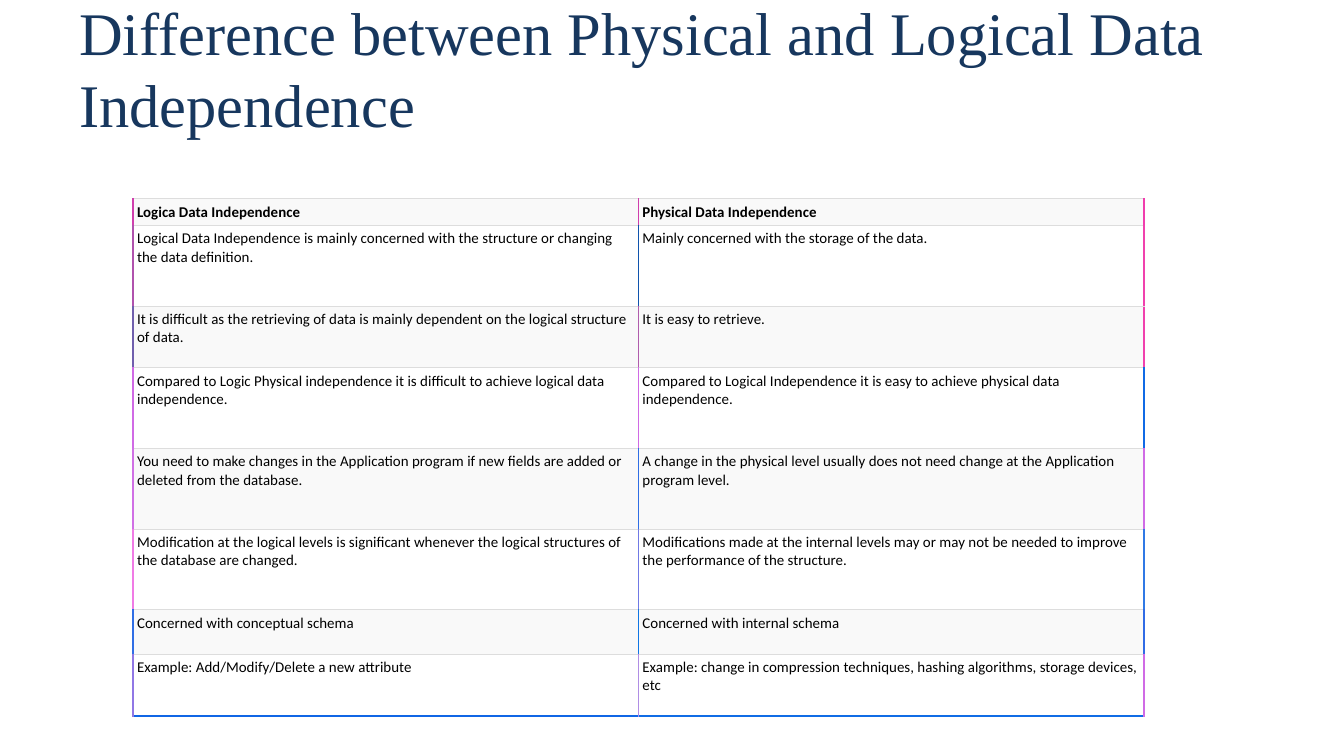
from dataclasses import dataclass

from lxml import etree
from pptx import Presentation
from pptx.dml.color import RGBColor
from pptx.enum.text import MSO_ANCHOR, MSO_AUTO_SIZE, PP_ALIGN
from pptx.oxml.ns import qn
from pptx.util import Inches, Pt

LEFT = PP_ALIGN.LEFT
TOP, MIDDLE = MSO_ANCHOR.TOP, MSO_ANCHOR.MIDDLE
NO_AUTOFIT = MSO_AUTO_SIZE.NONE


@dataclass(frozen=True)
class Theme:
    title_font: str = "Times New Roman"
    title_size: float = 32.4
    title_color: str = "17375E"
    cell_font: str = "Calibri"
    cell_size: float = 8
    cell_color: str = "000000"
    row_fills: tuple = ("F9F9F9", "FFFFFF")
    rule_color: str = "DDDDDD"
    rule_width: float = 0.6
    edge_width: float = 1


THEME = Theme()

# Height, logical text, physical text, colours of the left, middle and right edges
COMPARISON = [
    (0.19, "Logica Data Independence", "Physical Data Independence",
     ("D03FAD", "D03EAD", "F03DAD")),
    (0.6, "Logical Data Independence is mainly concerned with the structure or "
          "changing the data definition.",
     "Mainly concerned with the storage of the data.",
     ("B052AD", "1053AD", "F041AD")),
    (0.46, "It is difficult as the retrieving of data is mainly dependent on the "
           "logical structure of data.",
     "It is easy to retrieve.",
     ("705FAD", "B05CAD", "F041AD")),
    (0.6, "Compared to Logic Physical independence it is difficult to achieve "
          "logical data independence.",
     "Compared to Logical Independence it is easy to achieve physical data "
     "independence.",
     ("D06AE5", "D06AE5", "106AE5")),
    (0.6, "You need to make changes in the Application program if new fields are "
          "added or deleted from the database.",
     "A change in the physical level usually does not need change at the "
     "Application program level.",
     ("D070E5", "306EE5", "D06BE5")),
    (0.6, "Modification at the logical levels is significant whenever the logical "
          "structures of the database are changed.",
     "Modifications made at the internal levels may or may not be needed to "
     "improve the performance of the structure.",
     ("F07BE5", "707AE5", "3079E5")),
    (0.33, "Concerned with conceptual schema", "Concerned with internal schema",
     ("306EE5", "1076E5", "306BE5")),
    (0.46, "Example: Add/Modify/Delete a new attribute",
     "Example: change in compression techniques, hashing algorithms, storage "
     "devices, etc",
     ("9077E5", "B08EE5", "D06BE5")),
]
CLOSING_RULES = ("1066E5", "106CE5")


def add_border(cell, side, color, width):
    """Add one cell border; call in the order L, R, T, B and before the fill."""
    line = etree.SubElement(cell._tc.get_or_add_tcPr(), qn(f"a:ln{side}"),
                            w=str(Pt(width)))
    fill = etree.SubElement(line, qn("a:solidFill"))
    etree.SubElement(fill, qn("a:srgbClr"), val=color)


def set_font(paragraph, name, size, color, bold=False):
    font = paragraph.font
    font.name, font.size, font.bold = name, Pt(size), bold
    font.color.rgb = RGBColor.from_string(color)


prs = Presentation()
prs.slide_width = Inches(10)
prs.slide_height = prs.slide_width * 9 // 16
slide = prs.slides.add_slide(prs.slide_layouts[5])

# Title
title = slide.shapes.title
title.left, title.top = Inches(0.49), Inches(0.08)
title.width, title.height = Inches(9.02), Inches(0.84)
heading = title.text_frame
heading.text = "Difference between Physical and Logical Data Independence"
heading.word_wrap = True
heading.auto_size = NO_AUTOFIT
heading.vertical_anchor = MIDDLE
heading.paragraphs[0].alignment = LEFT
set_font(heading.paragraphs[0], THEME.title_font, THEME.title_size, THEME.title_color)

# Comparison table
table = slide.shapes.add_table(len(COMPARISON), 2, Inches(0.99), Inches(1.48),
                               Inches(7.52), Inches(3.84)).table
table.first_row = table.horz_banding = False

for row, (height, logical, physical, edges) in enumerate(COMPARISON):
    table.rows[row].height = Inches(height)
    for col, text in enumerate((logical, physical)):
        cell = table.cell(row, col)
        cell.text = text
        cell.vertical_anchor = TOP
        cell.margin_left = cell.margin_right = Inches(0.03)
        cell.margin_top = cell.margin_bottom = Inches(0.03)
        set_font(cell.text_frame.paragraphs[0], THEME.cell_font, THEME.cell_size,
                 THEME.cell_color, bold=row == 0)

        add_border(cell, "L", edges[col], THEME.edge_width)
        add_border(cell, "R", edges[col + 1], THEME.edge_width)
        add_border(cell, "T", THEME.rule_color, THEME.rule_width)
        if row == len(COMPARISON) - 1:
            add_border(cell, "B", CLOSING_RULES[col], THEME.edge_width)
        else:
            add_border(cell, "B", THEME.rule_color, THEME.rule_width)
        cell.fill.solid()
        cell.fill.fore_color.rgb = RGBColor.from_string(THEME.row_fills[row % 2])

prs.save("out.pptx")
